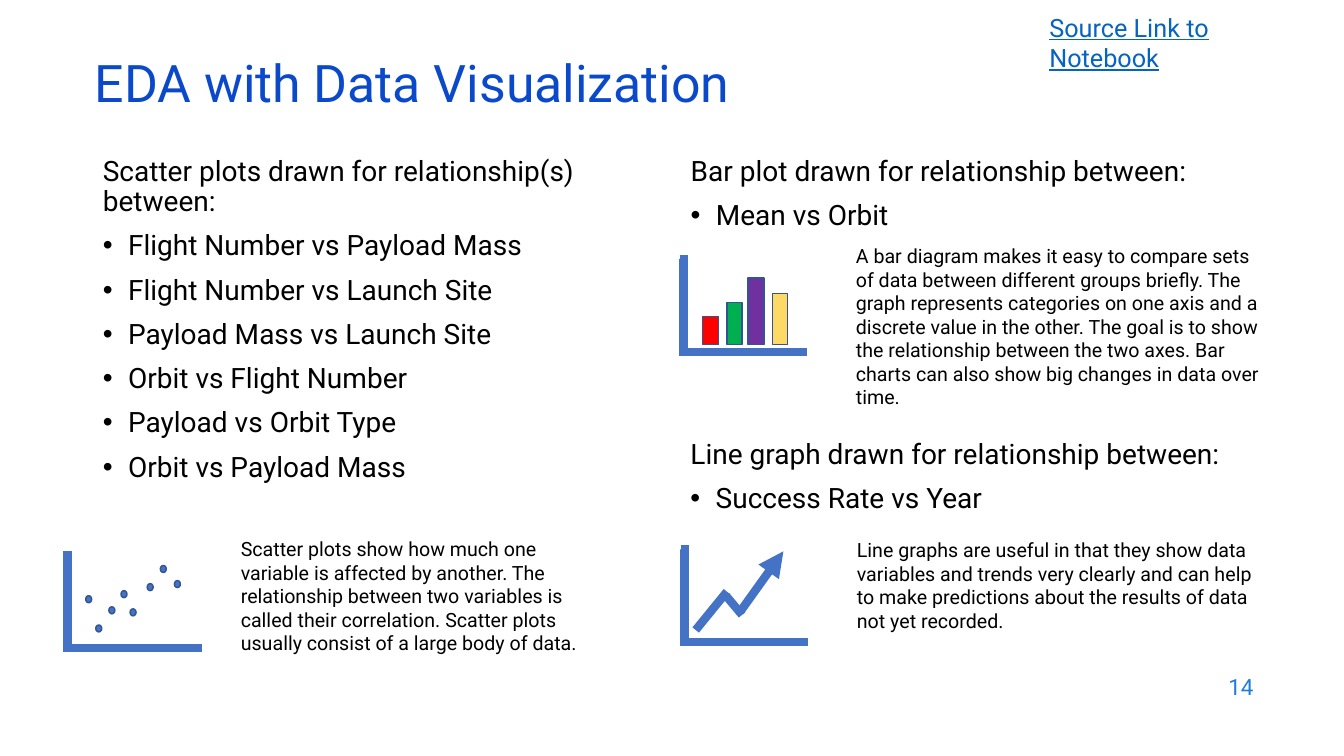
from dataclasses import dataclass

from lxml.etree import SubElement
from pptx import Presentation
from pptx.dml.color import RGBColor
from pptx.enum.shapes import MSO_CONNECTOR as Link, MSO_SHAPE as Preset
from pptx.enum.text import MSO_ANCHOR as Anchor, MSO_AUTO_SIZE as AutoSize, PP_ALIGN as Align
from pptx.oxml.ns import qn
from pptx.util import Emu, Pt

EMU_PER_PX = 9144
FONT = "Roboto"
BLACK, BLUE, OUTLINE = "000000", "4472C4", "325491"
DOT_WIDTH, DOT_HEIGHT = 6, 7
BAR_BASE = 342


@dataclass(frozen=True)
class Box:
    """A rectangle in px."""
    left: int
    top: int
    width: int
    height: int

    def emu(self) -> tuple[Emu, ...]:
        """Return the four lengths in EMU."""
        return tuple(px(n) for n in (self.left, self.top, self.width, self.height))


@dataclass(frozen=True)
class Bar:
    """One bar of the bar plot icon."""
    left: int
    width: int
    height: int
    fill: str


@dataclass(frozen=True)
class Topic:
    """A heading with its bulleted relationships."""
    box: Box
    heading: str
    pairs: tuple[str, ...]


@dataclass(frozen=True)
class Note:
    """A plain paragraph in its own text box."""
    box: Box
    text: str
    size: int = 14
    color: str = BLACK
    underline: bool = False
    align: Align = Align.LEFT
    anchor: Anchor = Anchor.TOP


SCATTER = Topic(Box(92, 151, 567, 476), "Scatter plots drawn for relationship(s) between:", (
    "Flight Number vs Payload Mass", "Flight Number vs Launch Site",
    "Payload Mass vs Launch Site", "Orbit vs Flight Number",
    "Payload vs Orbit Type", "Orbit vs Payload Mass"))
BAR_PLOT = Topic(Box(675, 151, 567, 239), "Bar plot drawn for relationship between:",
                 ("Mean vs Orbit",))
LINE_GRAPH = Topic(Box(675, 432, 567, 239), "Line graph drawn for relationship between:",
                   ("Success Rate vs Year",))
NOTES = (
    Note(Box(229, 528, 363, 128),
         "Scatter plots show how much one variable is affected by another. The relationship "
         "between two variables is called their correlation. Scatter plots usually consist "
         "of a large body of data."),
    Note(Box(839, 237, 431, 151),
         "A bar diagram makes it easy to compare sets of data between different groups "
         "briefly. The graph represents categories on one axis and a discrete value in the "
         "other. The goal is to show the relationship between the two axes. Bar charts can "
         "also show big changes in data over time."),
    Note(Box(840, 529, 431, 104),
         "Line graphs are useful in that they show data variables and trends very clearly "
         "and can help to make predictions about the results of data not yet recorded."),
    Note(Box(1031, 7, 250, 70), "Source Link to Notebook", 18, "0563C1", True),
    Note(Box(953, 659, 300, 44), "14", 16, "1C7DDB", align=Align.RIGHT, anchor=Anchor.MIDDLE),
)
AXES = (Box(63, 551, 137, 92), Box(674, 257, 126, 92), Box(675, 545, 126, 92))
DOTS = ((95, 620), (108, 602), (120, 586), (129, 604),
        (146, 579), (173, 576), (159, 561), (85, 591))
BARS = (Bar(697, 16, 28, "FF0000"), Bar(721, 15, 42, "00B050"),
        Bar(742, 16, 66, "7030A0"), Bar(766, 15, 51, "FFD966"))
TREND = ((690, 625, 721, 587), (720, 591, 736, 610), (734, 607, 777, 547))


def px(length: int) -> Emu:
    """Turn px into EMU."""
    return Emu(length * EMU_PER_PX)


def rgb(color: str) -> RGBColor:
    """Turn a hex string into a colour."""
    return RGBColor.from_string(color)


def place(shape, box: Box) -> None:
    """Move a shape to a box."""
    shape.left, shape.top, shape.width, shape.height = box.emu()


def style(paragraph, size: int, color: str) -> None:
    """Set the font of a paragraph."""
    paragraph.font.name = FONT
    paragraph.font.size = Pt(size)
    paragraph.font.color.rgb = rgb(color)


def fill_topic(shape, topic: Topic) -> None:
    """Write a heading and its bullets into a shape."""
    place(shape, topic.box)
    frame = shape.text_frame
    frame.word_wrap = True
    frame.auto_size = AutoSize.NONE
    frame.text = "\n".join((topic.heading, *topic.pairs))
    for position, paragraph in enumerate(frame.paragraphs):
        indent = px(25) if position else 0
        properties = paragraph._p.get_or_add_pPr()
        properties.set("marL", str(indent))
        properties.set("indent", str(-indent))
        paragraph.line_spacing = 0.9
        paragraph.space_before = Pt(10 if position else 0)
        if position:
            SubElement(properties, qn("a:buFont"), typeface="Arial")
            SubElement(properties, qn("a:buChar"), char="•")
        else:
            SubElement(properties, qn("a:buNone"))
        style(paragraph, 20, BLACK)


def add_note(shapes, note: Note) -> None:
    """Add a wrapped paragraph."""
    frame = shapes.add_textbox(*note.box.emu()).text_frame
    frame.word_wrap = True
    frame.vertical_anchor = note.anchor
    frame.text = note.text
    paragraph = frame.paragraphs[0]
    paragraph.alignment = note.align
    style(paragraph, note.size, note.color)
    if note.underline:
        paragraph.font.underline = True


def add_mark(shapes, preset: Preset, box: Box, fill: str) -> None:
    """Add an outlined dot or bar."""
    mark = shapes.add_shape(preset, *box.emu())
    mark.shadow.inherit = False
    mark.fill.solid()
    mark.fill.fore_color.rgb = rgb(fill)
    mark.line.color.rgb = rgb(OUTLINE)
    mark.line.width = Pt(1)


def add_stroke(shapes, kind: Link, x1: int, y1: int, x2: int, y2: int):
    """Add a thick blue connector with sharp corners."""
    stroke = shapes.add_connector(kind, px(x1), px(y1), px(x2), px(y2))
    stroke.line.color.rgb = rgb(BLUE)
    stroke.line.width = Pt(6)
    properties = stroke._element.spPr
    SubElement(properties.find(qn("a:ln")), qn("a:miter"), lim="800000")
    SubElement(properties, qn("a:effectLst"))
    return stroke


def add_axes(shapes, box: Box) -> None:
    """Add the L-shaped axes of an icon."""
    axes = add_stroke(shapes, Link.ELBOW, box.left, box.top,
                      box.left + box.width, box.top + box.height)
    bend = round(4 / box.width * 100000)
    guides = axes._element.spPr.find(qn("a:prstGeom")).find(qn("a:avLst"))
    SubElement(guides, qn("a:gd"), name="adj1", fmla=f"val {bend}")


def main() -> None:
    """Build the slide and save it."""
    deck = Presentation()
    deck.slide_width, deck.slide_height = px(1333), px(750)
    slide = deck.slides.add_slide(deck.slide_layouts[3])
    shapes = slide.shapes

    title = shapes.title
    place(title, Box(84, 59, 1150, 60))
    title.text_frame.text = "EDA with Data Visualization"
    title.text_frame.auto_size = AutoSize.NONE
    title.text_frame.vertical_anchor = Anchor.MIDDLE
    heading = title.text_frame.paragraphs[0]
    heading.alignment = Align.LEFT
    heading.line_spacing = 0.7
    style(heading, 37, "0B49CB")

    fill_topic(slide.placeholders[1], SCATTER)
    fill_topic(slide.placeholders[2], BAR_PLOT)
    fill_topic(shapes.add_textbox(*LINE_GRAPH.box.emu()), LINE_GRAPH)
    for note in NOTES:
        add_note(shapes, note)

    for box in AXES:
        add_axes(shapes, box)
    for left, top in DOTS:
        add_mark(shapes, Preset.OVAL, Box(left, top, DOT_WIDTH, DOT_HEIGHT), BLUE)
    for bar in BARS:
        add_mark(shapes, Preset.RECTANGLE,
                 Box(bar.left, BAR_BASE - bar.height, bar.width, bar.height), bar.fill)
    strokes = [add_stroke(shapes, Link.STRAIGHT, *ends) for ends in TREND]
    SubElement(strokes[-1]._element.spPr.find(qn("a:ln")), qn("a:tailEnd"), type="triangle")

    deck.save("out.pptx")


if __name__ == "__main__":
    main()
